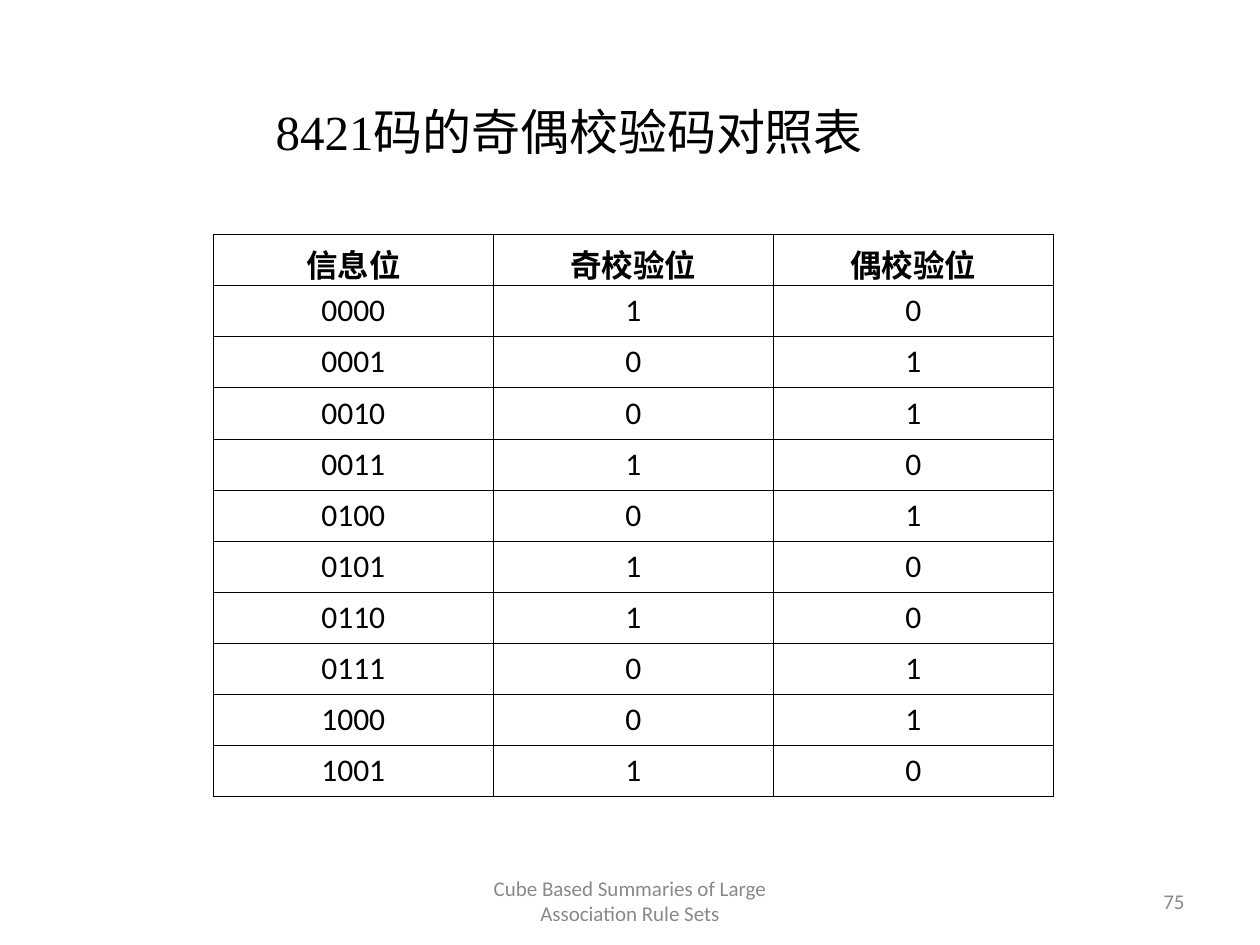
from dataclasses import dataclass

from lxml.etree import SubElement
from pptx import Presentation
from pptx.dml.color import RGBColor
from pptx.enum.text import MSO_ANCHOR, PP_ALIGN
from pptx.oxml.ns import qn
from pptx.util import Pt


@dataclass(frozen=True)
class Theme:
    ink: str = "000000"
    muted: str = "898989"
    body_font: str = "Calibri"
    title_font: str = "Times New Roman"
    title_size: float = 28
    table_size: float = 18
    footer_size: float = 12
    border_width: float = 0.45


class PageBuilder:
    """Draws styled elements on the current slide."""

    def __init__(self, theme, page):
        self.theme = theme
        self.page = page

    def add_span(self, frame, text, align, color, **font_values):
        para = frame.paragraphs[0]
        para.alignment = align
        span = para.add_run()
        span.text = text
        for name, value in font_values.items():
            setattr(span.font, name, value)
        span.font.color.rgb = RGBColor.from_string(color)

    def text(self, bounds, text, align, color, anchor=MSO_ANCHOR.MIDDLE, **font_values):
        box = self.page.shapes.add_textbox(*map(Pt, bounds))
        box.text_frame.word_wrap = True
        box.text_frame.vertical_anchor = anchor
        self.add_span(box.text_frame, text, align, color, **font_values)

    def footer(self, bounds, text, align):
        theme = self.theme
        self.text(bounds, text, align, theme.muted,
                  name=theme.body_font, size=Pt(theme.footer_size))

    def title(self, bounds, text):
        theme = self.theme
        self.text(bounds, text, PP_ALIGN.LEFT, theme.ink, MSO_ANCHOR.TOP,
                  name=theme.title_font, size=Pt(theme.title_size))

    def borders(self, cell):
        properties = cell._tc.get_or_add_tcPr()
        for side in ("a:lnL", "a:lnR", "a:lnT", "a:lnB"):
            line = SubElement(properties, qn(side), w=str(Pt(self.theme.border_width)))
            fill = SubElement(line, qn("a:solidFill"))
            SubElement(fill, qn("a:srgbClr"), val=self.theme.ink)

    def table(self, left, top, column_width, row_height, rows):
        theme = self.theme
        row_count, column_count = len(rows), len(rows[0])
        table = self.page.shapes.add_table(
            row_count, column_count, Pt(left), Pt(top),
            Pt(column_width * column_count), Pt(row_height * row_count)).table
        table.first_row = table.horz_banding = False
        for column in table.columns:
            column.width = Pt(column_width)
        for row_index, values in enumerate(rows):
            table.rows[row_index].height = Pt(row_height)
            for cell, value in zip(table.rows[row_index].cells, values):
                self.borders(cell)
                cell.fill.background()
                self.add_span(cell.text_frame, value, PP_ALIGN.CENTER, theme.ink,
                              name=theme.body_font, size=Pt(theme.table_size),
                              bold=row_index == 0)


def parity_rows():
    rows = [("信息位", "奇校验位", "偶校验位")]
    for digit in range(10):
        bits = f"{digit:04b}"
        even = bits.count("1") % 2
        rows.append((bits, str(1 - even), str(even)))
    return rows


def main():
    deck = Presentation()
    deck.slide_width, deck.slide_height = Pt(720), Pt(540)
    builder = PageBuilder(Theme(), deck.slides.add_slide(deck.slide_layouts[6]))
    builder.footer((246, 500.5, 228, 28.75),
                   "Cube Based Summaries of Large Association Rule Sets", PP_ALIGN.CENTER)
    builder.footer((516, 500.5, 168, 28.75), "75", PP_ALIGN.RIGHT)
    builder.table(left=121.9, top=134, column_width=160, row_height=29.2, rows=parity_rows())
    builder.title((150.5, 54.75, 448, 41), "8421码的奇偶校验码对照表")
    deck.save("out.pptx")


if __name__ == "__main__":
    main()
